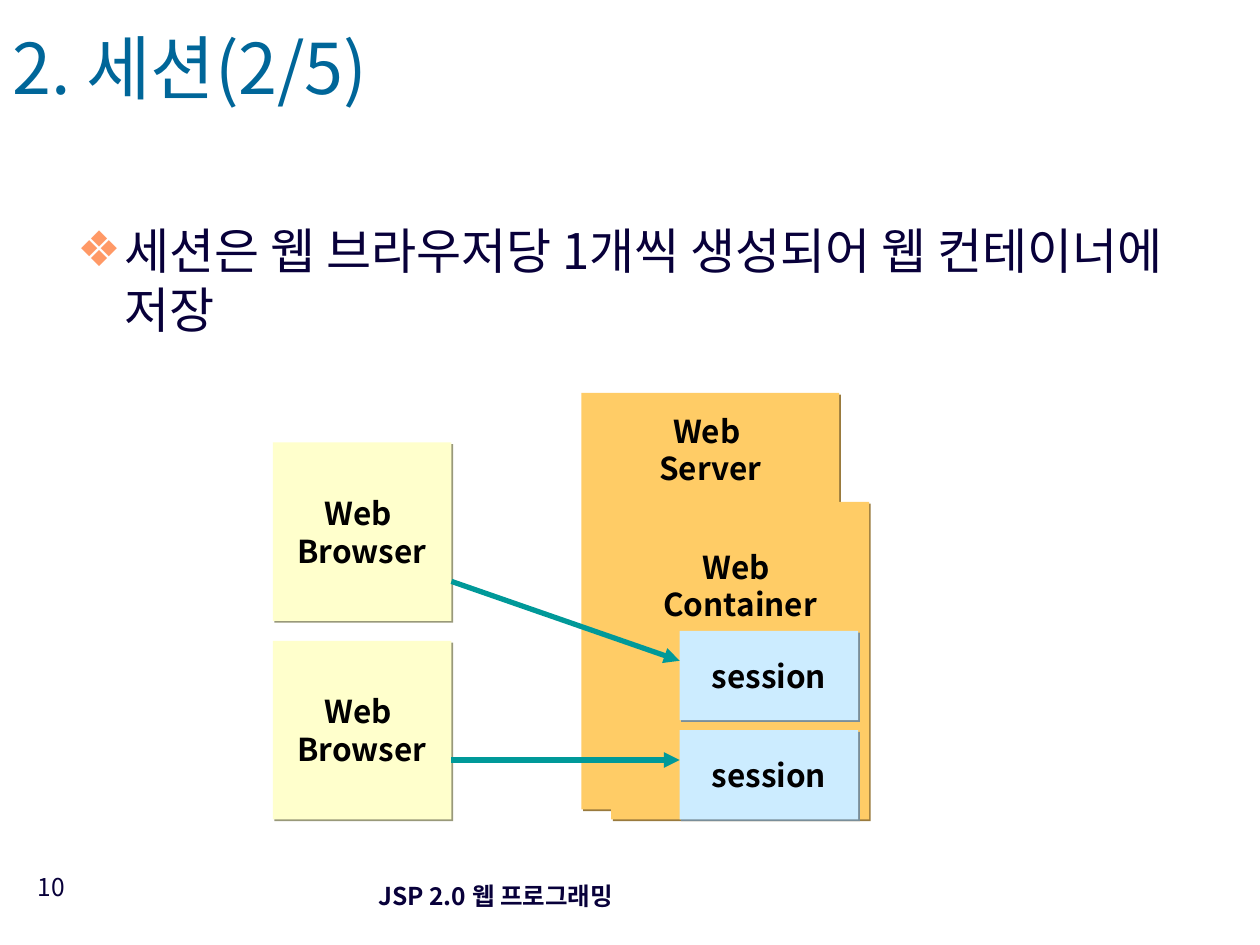
from dataclasses import dataclass

from lxml import etree
from pptx import Presentation
from pptx.dml.color import RGBColor
from pptx.enum import shapes, text
from pptx.oxml.ns import qn
from pptx.util import Cm, Pt


@dataclass(frozen=True)
class Theme:
    font: str = "Noto Sans CJK KR"
    title: str = "006699"
    body: str = "08003A"
    bullet: str = "FF9966"
    label: str = "010000"
    arrow: str = "009999"
    browser: tuple = ("FFFFCC", "99997A")  # fill, shadow
    server: tuple = ("FFCC66", "997A3D")
    session: tuple = ("CCECFF", "7A8E99")
    title_size: int = 40
    body_size: int = 28
    label_size: int = 18
    footer_size: int = 14


THEME = Theme()


def add_element(parent, tag, **attributes):
    return etree.SubElement(parent, qn(tag), {k: str(v) for k, v in attributes.items()})


def add_span(para, words, size, color, bold=False):
    span = para.add_run()
    span.text = words
    span.font.size = Pt(size)
    span.font.bold = bold
    span.font.name = THEME.font
    span.font.color.rgb = RGBColor.from_string(color)
    add_element(span.font._element, "a:ea", typeface=THEME.font)


def place(shape, left, top, width, height):
    shape.left, shape.top, shape.width, shape.height = map(Cm, (left, top, width, height))


def fill_title(box, words):
    place(box, 0, 0.7, 21.7, 1.7)
    frame = box.text_frame
    frame.auto_size = text.MSO_AUTO_SIZE.NONE
    frame.vertical_anchor = text.MSO_ANCHOR.MIDDLE
    para = frame.paragraphs[0]
    para.alignment = text.PP_ALIGN.LEFT
    para.line_spacing = 0.7
    add_span(para, words, THEME.title_size, THEME.title)


def fill_list(box, items):
    place(box, 1.3, 4.32, 23.2, 2.8)
    frame = box.text_frame
    frame.auto_size = text.MSO_AUTO_SIZE.NONE
    for index, words in enumerate(items):
        para = frame.add_paragraph() if index else frame.paragraphs[0]
        properties = para._p.get_or_add_pPr()
        properties.set("marL", str(Cm(0.96)))
        properties.set("indent", str(-Cm(0.96)))
        add_element(add_element(properties, "a:buClr"), "a:srgbClr", val=THEME.bullet)
        add_element(properties, "a:buChar", char="❖")
        para.space_before = Pt(7 if index else 0)
        add_span(para, words, THEME.body_size, THEME.body)


def add_footer(page, words, number):
    parts = (
        (words, (5.97, 17.42, 8.05, 1.27), text.PP_ALIGN.CENTER, text.MSO_ANCHOR.MIDDLE, True),
        (number, (0.36, 17.45, 1.2, 1.32), text.PP_ALIGN.RIGHT, text.MSO_ANCHOR.TOP, False),
    )
    for words, area, alignment, anchor, bold in parts:
        box = page.shapes.add_textbox(*map(Cm, area))
        box.text_frame.word_wrap = True
        box.text_frame.vertical_anchor = anchor
        para = box.text_frame.paragraphs[0]
        para.alignment = alignment
        add_span(para, words, THEME.footer_size, THEME.body, bold)


def add_block(page, area, colors, lines, label_top=None):
    """Add a shadowed box; its label is centred unless label_top is given."""
    fill, shade = colors
    block = page.shapes.add_shape(shapes.MSO_SHAPE.RECTANGLE, *map(Cm, area))
    block.fill.solid()
    block.fill.fore_color.rgb = RGBColor.from_string(fill)
    block.line.fill.background()
    block.shadow.inherit = False
    effects = block._element.spPr.find(qn("a:effectLst"))
    shadow = add_element(effects, "a:outerShdw", blurRad=0, dist=Pt(1.4),
                         dir=45 * 60000, algn="ctr", rotWithShape=0)
    add_element(shadow, "a:srgbClr", val=shade)

    frame = block.text_frame
    frame.word_wrap = False
    frame.vertical_anchor = text.MSO_ANCHOR.MIDDLE
    if label_top is not None:
        frame.vertical_anchor = text.MSO_ANCHOR.TOP
        frame.margin_top = Cm(label_top)
    for index, words in enumerate(lines):
        para = frame.add_paragraph() if index else frame.paragraphs[0]
        para.alignment = text.PP_ALIGN.CENTER
        add_span(para, words, THEME.label_size, THEME.label, bold=True)


def add_arrow(page, start, end):
    arrow = page.shapes.add_connector(shapes.MSO_CONNECTOR.STRAIGHT, *map(Cm, start + end))
    arrow.line.color.rgb = RGBColor.from_string(THEME.arrow)
    arrow.line.width = Pt(3)
    add_element(arrow.line._get_or_add_ln(), "a:tailEnd", type="triangle")
    add_element(arrow._element.spPr, "a:effectLst")


def add_session_diagram(page, left, top):
    side, session_height = 3.6, 1.8
    session_left = left + 8.2
    browser = ("Web ", "Browser")
    add_block(page, (left, top + 1, side, side), THEME.browser, browser)
    add_block(page, (left + 6.22, top, 5.2, 8.4), THEME.server, ("Web ", "Server"), 0.38)
    add_block(page, (left, top + 5, side, side), THEME.browser, browser)
    add_block(page, (left + 6.82, top + 2.2, 5.2, 6.4), THEME.server,
              ("Web ", "Container"), 0.92)
    for offset in (4.8, 6.8):
        add_block(page, (session_left, top + offset, side, session_height),
                  THEME.session, ("session",))
    for start, end in ((3.8, 5.4), (7.4, 7.4)):
        add_arrow(page, (left + side, top + start), (session_left, top + end))


def main():
    deck = Presentation()
    deck.slide_width, deck.slide_height = Cm(25.4), Cm(19.05)
    page = deck.slides.add_slide(deck.slide_layouts[1])
    add_footer(page, "JSP 2.0 웹 프로그래밍", "10")
    fill_title(page.shapes.title, "2. 세션(2/5)")
    fill_list(page.placeholders[1], ["세션은 웹 브라우저당 1개씩 생성되어 웹 컨테이너에 저장"])
    add_session_diagram(page, 5.5, 7.92)
    deck.save("out.pptx")


if __name__ == "__main__":
    main()
